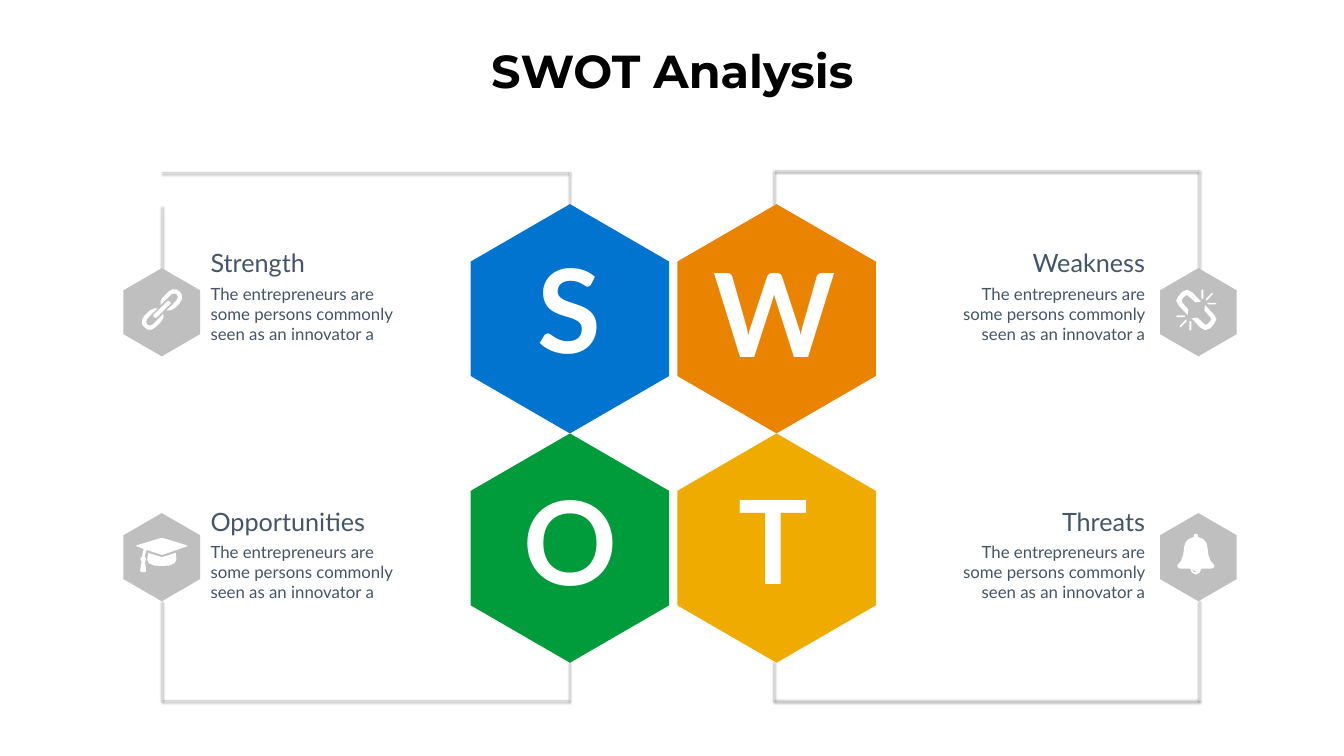
import pptx
import pptx.util
import pptx.dml.color
import pptx.enum.shapes
import pptx.enum.text
import pptx.oxml
import pptx.oxml.ns
from dataclasses import dataclass

PX = 9144  # EMU in one px, 100 px to the inch
ALIGN = pptx.enum.text.PP_ALIGN
LEFT, MID, RIGHT = ALIGN.LEFT, ALIGN.CENTER, ALIGN.RIGHT


@dataclass(frozen=True)
class Theme:
    blue: str = "0074CF"
    orange: str = "E98300"
    green: str = "009B3A"
    gold: str = "F0AB00"
    grey: str = "BFBFBF"
    rule: str = "D9D9D9"
    slate: str = "445469"
    white: str = "FFFFFF"
    black: str = "000000"
    font: str = "Lato"
    display: str = "Montserrat"
    title: int = 66
    letter: int = 166
    head: int = 36
    body: int = 24


T = Theme()
BODY = "The entrepreneurs are some persons commonly seen as an innovator a"
SHADE = (
    '<a:effectLst %s><a:outerShdw blurRad="40000" dist="20000" dir="5400000" rotWithShape="0">'
    '<a:srgbClr val="000000"><a:alpha val="38000"/></a:srgbClr></a:outerShdw></a:effectLst>'
    % pptx.oxml.ns.nsdecls("a")
)

# Icon outlines, in slide px
HOOK = [(357, 601), (346, 612), (338, 616), (330, 616), (340, 607), (351, 595),
        (353, 589), (351, 584), (346, 582), (340, 584), (329, 595), (319, 605),
        (319, 597), (323, 590), (334, 579), (342, 574), (350, 574), (357, 579),
        (361, 585), (361, 594)]
BAR = [(311, 630), (308, 631), (304, 627), (305, 624), (332, 598), (335, 597),
       (339, 601), (338, 603)]
SPLIT = [(2372, 600), (2358, 587), (2355, 585), (2352, 587), (2346, 593),
         (2345, 597), (2346, 600), (2358, 614), (2357, 625), (2355, 623),
         (2339, 606), (2334, 597), (2339, 587), (2346, 579), (2356, 575),
         (2366, 580), (2381, 596), (2384, 598)]
RAYS = [[(2334, 628), (2336, 626), (2351, 626), (2352, 628), (2351, 629), (2336, 629)],
        [(2341, 647), (2353, 634), (2355, 634), (2355, 637), (2343, 649), (2341, 649)],
        [(2360, 638), (2362, 637), (2364, 638), (2364, 654), (2362, 656), (2360, 654)]]
BOARD = [(371, 1084), (322, 1101), (321, 1101), (291, 1091), (287, 1104),
         (290, 1109), (288, 1114), (290, 1132), (289, 1135), (280, 1135),
         (278, 1132), (281, 1114), (278, 1109), (282, 1104), (285, 1089),
         (271, 1084), (270, 1083), (271, 1082), (321, 1067), (322, 1067),
         (371, 1082), (372, 1083)]
CAP = [(350, 1111), (346, 1118), (336, 1122), (321, 1123), (306, 1122),
       (296, 1118), (292, 1111), (294, 1097), (320, 1105), (323, 1105), (349, 1097)]
BELL = [(2373, 1059), (2370, 1060), (2369, 1063), (2369, 1065), (2358, 1070),
        (2352, 1077), (2350, 1085), (2348, 1101), (2344, 1112), (2336, 1122),
        (2338, 1127), (2342, 1128), (2362, 1128), (2365, 1136), (2373, 1140)]
CLAP = [(2373, 1134), (2369, 1132), (2367, 1128), (2366, 1128), (2368, 1134), (2373, 1136)]


def color(code):
    return pptx.dml.color.RGBColor.from_string(code)


def turn(points, x, y):
    """Points turned half round about (x, y)."""
    return [(2 * x - a, 2 * y - b) for a, b in points]


def whole(half, x):
    """Half an outline joined to its mirror across x."""
    return half + [(2 * x - a, b) for a, b in half[-2:0:-1]]


def shape(slide, loops, fill):
    first, *rest = loops
    pen = slide.shapes.build_freeform(*first[0], scale=PX)
    pen.add_line_segments(first[1:], close=True)
    for loop in rest:
        pen.move_to(*loop[0])
        pen.add_line_segments(loop[1:], close=True)
    form = pen.convert_to_shape()
    form.shadow.inherit = False
    form.fill.solid()
    form.fill.fore_color.rgb = color(fill)
    form.line.fill.background()


def hexagon(slide, x, y, wide, high, fill):
    cut, mid = round(high / 4), x + wide // 2
    shape(slide, [[(x + wide, y + high - cut), (mid, y + high), (x, y + high - cut),
                   (x, y + cut), (mid, y), (x + wide, y + cut)]], fill)


def rule(slide, *ends):
    kind = pptx.enum.shapes.MSO_CONNECTOR.STRAIGHT
    line = slide.shapes.add_connector(kind, *(n * PX for n in ends))
    line.line.color.rgb = color(T.rule)
    line.line.width = pptx.util.Pt(2)
    line._element.spPr.append(pptx.oxml.parse_xml(SHADE))


def bracket(slide, x, side, hub, y, edge, tip):
    """A bar at y with one leg to an icon and one to a hexagon."""
    rule(slide, hub, y, x, y)
    rule(slide, x, edge, x, side)
    rule(slide, hub, tip, hub, y)


def text(slide, box, words, size, align, tint=T.slate, bold=False, font=T.font, wrap=True):
    item = slide.shapes.add_textbox(*(n * PX for n in box))
    frame = item.text_frame
    frame.word_wrap = wrap
    para = frame.paragraphs[0]
    para.text = words
    para.alignment = align
    para.font.name = font
    para.font.size = pptx.util.Pt(size)
    para.font.bold = bold
    para.font.color.rgb = color(tint)
    return item


def note(slide, x, y, head, wide, align):
    """A heading over its body text, flush with one side."""
    left = x if align == LEFT else x + 430 - wide
    text(slide, (left, y, wide, 71), head, T.head, align, wrap=False)
    text(slide, (x, y + 71, 430, 131), BODY, T.body, align)


def main():
    deck = pptx.Presentation()
    deck.slide_width, deck.slide_height = 2667 * PX, 1500 * PX
    slide = deck.slides.add_slide(deck.slide_layouts[6])

    # Brackets
    bracket(slide, 322, 410, 1131, 342, 602, 410)
    bracket(slide, 323, 1390, 1131, 1390, 1193, 1314)
    bracket(slide, 2381, 339, 1537, 339, 532, 405)
    bracket(slide, 2381, 1390, 1537, 1390, 1193, 1314)

    # Letter hexagons
    fills = (T.blue, T.orange, T.green, T.gold)
    for i, fill in enumerate(fills):
        hexagon(slide, 934 + i % 2 * 410, 405 + i // 2 * 455, 394, 455, fill)

    # Icon hexagons
    for x in (245, 2302):
        for y in (532, 1018):
            hexagon(slide, x, y, 152, 175, T.grey)

    # Notes
    note(slide, 408, 486, "Strength", 213, LEFT)
    note(slide, 408, 999, "Opportunities", 333, LEFT)
    note(slide, 1852, 486, "Weakness", 257, RIGHT)
    note(slide, 1852, 999, "Threats", 198, RIGHT)

    # Letters
    for sign, x, y, wide in (("S", 1025, 465, 208), ("W", 1397, 473, 281),
                             ("O", 1028, 926, 208), ("T", 1431, 925, 208)):
        text(slide, (x, y, wide, 289), sign, T.letter, MID, T.white, True)

    # Icons: cap, bell, broken link, link
    shape(slide, [BOARD, CAP], T.white)
    shape(slide, [whole(BELL, 2373), CLAP], T.white)
    half = [SPLIT, *RAYS]
    shape(slide, half + [turn(loop, 2374, 615) for loop in half], T.white)
    shape(slide, [HOOK, BAR, turn(HOOK, 321.5, 614)], T.white)

    # Title
    title = text(slide, (184, 1, 2300, 290), "SWOT Analysis", T.title, MID,
                 T.black, True, T.display)
    title.text_frame.vertical_anchor = pptx.enum.text.MSO_ANCHOR.MIDDLE
    title.text_frame.paragraphs[0].line_spacing = 0.9

    deck.save("out.pptx")


if __name__ == "__main__":
    main()
